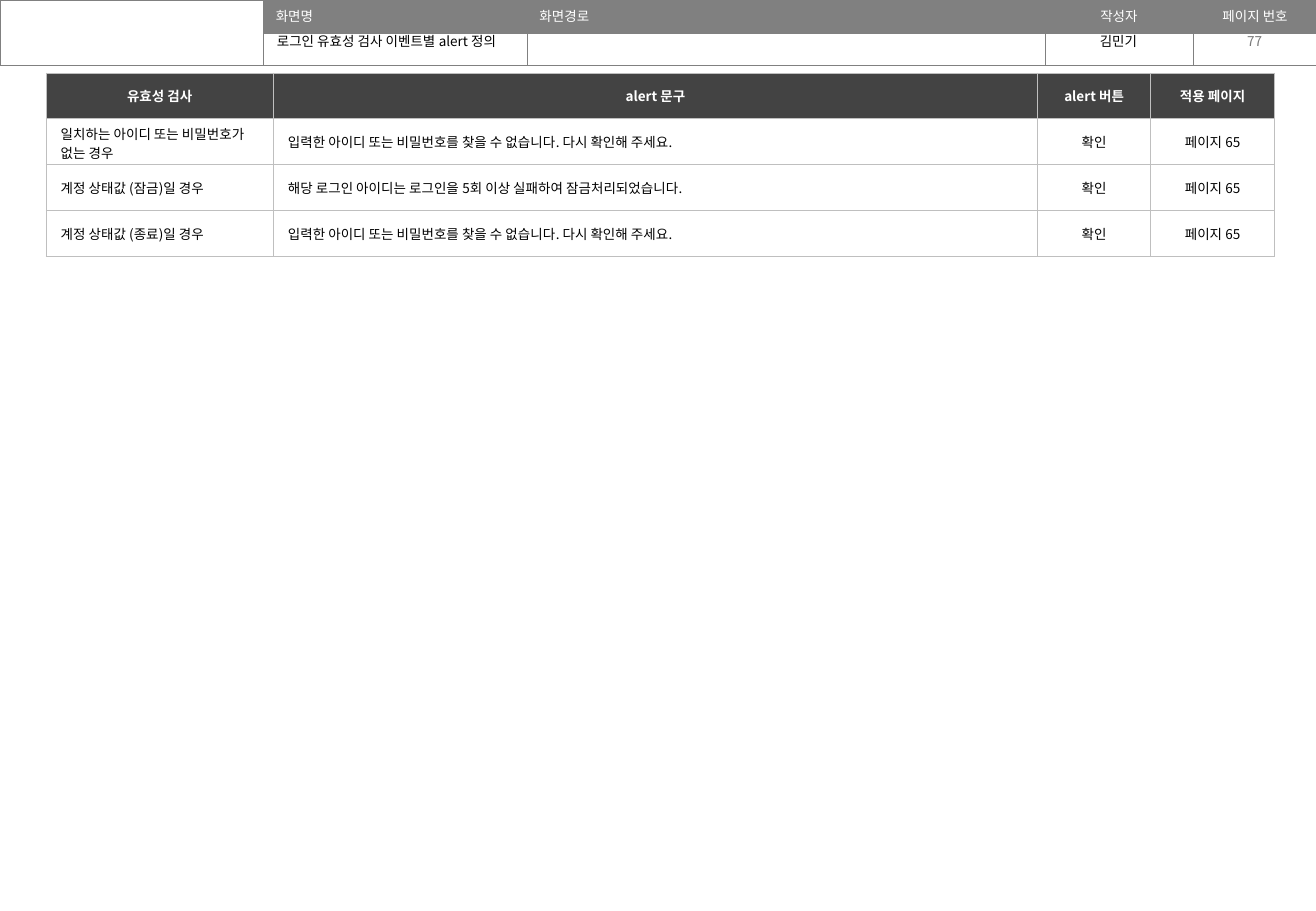
from lxml import etree
from pptx import Presentation
from pptx.dml.color import RGBColor
from pptx.enum.text import MSO_ANCHOR as Anchor, PP_ALIGN as Align
from pptx.oxml.ns import qn
from pptx.util import Inches, Pt

FONT = "Noto Sans CJK KR"
TEXT_SIZE = 8
BLACK, WHITE, GREY, DARK = "000000", "FFFFFF", "808080", "434343"
PAGE_WIDTH, PAGE_HEIGHT = 10.83, 7.5

HEADER_COLUMNS = [2.17, 2.17, 4.26, 1.22, 1.02]
HEADER_LABELS = ["", "화면명", "화면경로", "작성자", "페이지 번호"]
ALERT_COLUMNS = [1.87, 6.29, 0.93, 1.02]
ALERT_LABELS = ["유효성 검사", "alert 문구", "alert 버튼", "적용 페이지"]
NOT_FOUND = "입력한 아이디 또는 비밀번호를 찾을 수 없습니다. 다시 확인해 주세요."
LOCKED = "해당 로그인 아이디는 로그인을 5회 이상 실패하여 잠금처리되었습니다."
ALERTS = [
    ["일치하는 아이디 또는 비밀번호가 없는 경우", NOT_FOUND, "확인", "페이지 65"],
    ["계정 상태값 (잠금)일 경우", LOCKED, "확인", "페이지 65"],
    ["계정 상태값 (종료)일 경우", NOT_FOUND, "확인", "페이지 65"],
]


def color(value):
    return RGBColor.from_string(value)


def write(frame, text, ink, align=Align.LEFT, bold=False):
    frame.text = text
    para = frame.paragraphs[0]
    para.alignment = align
    for span in para.runs:
        span.font.name = FONT
        span.font.size = Pt(TEXT_SIZE)
        span.font.bold = bold
        span.font.color.rgb = color(ink)
        east_asian = etree.SubElement(span.font._element, qn("a:ea"))
        east_asian.set("typeface", FONT)
    if not text:
        # An empty cell would otherwise grow to the default text size.
        end = etree.SubElement(para._p, qn("a:endParaRPr"))
        end.set("sz", str(TEXT_SIZE * 100))


def style_cell(cell, border, fill):
    properties = cell._tc.get_or_add_tcPr()
    for side in ("lnL", "lnR", "lnT", "lnB"):
        line = etree.SubElement(properties, qn(f"a:{side}"), w=str(Pt(0.25)))
        solid = etree.SubElement(line, qn("a:solidFill"))
        etree.SubElement(solid, qn("a:srgbClr"), val=border)
    if fill:
        cell.fill.solid()
        cell.fill.fore_color.rgb = color(fill)
    else:
        cell.fill.background()


def add_grid(page, left, top, columns, row_count, row_height):
    """Add an unbanded table with the given column widths."""
    table = page.shapes.add_table(
        row_count, len(columns), Inches(left), Inches(top),
        Inches(sum(columns)), Inches(row_height * row_count)).table
    table.first_row = table.horz_banding = False
    for column, width in zip(table.columns, columns):
        column.width = Inches(width)
    for row in table.rows:
        row.height = Inches(row_height)
    return table


def add_label(page, left, top, width, text, ink, align, anchor=Anchor.TOP):
    box = page.shapes.add_textbox(
        Inches(left), Inches(top), Inches(width), Inches(0.24))
    box.text_frame.word_wrap = True
    box.text_frame.vertical_anchor = anchor
    write(box.text_frame, text, ink, align)


def add_header(page, left, top):
    table = add_grid(page, left, top, HEADER_COLUMNS, 2, 0.27)
    for row_index, labels in enumerate([HEADER_LABELS, [""] * 5]):
        for index, label in enumerate(labels):
            cell = table.cell(row_index, index)
            style_cell(cell, GREY, GREY if label else None)
            align = Align.CENTER if index > 2 else Align.LEFT
            write(cell.text_frame, label, WHITE, align)
    table.cell(0, 0).merge(table.cell(1, 0))

    starts = [left + sum(HEADER_COLUMNS[:index]) for index in range(5)]
    label_top = top + 0.22
    add_label(page, starts[3] - 0.01, label_top, 1.23, "김민기", BLACK, Align.CENTER)
    add_label(page, starts[4], label_top, 1.01, "77", "797979",
              Align.CENTER, Anchor.MIDDLE)
    add_label(page, starts[1] + 0.01, label_top, 2.15,
              "로그인 유효성 검사 이벤트별 alert 정의", BLACK, Align.LEFT)


def add_alert_table(page, left, top):
    rows = [ALERT_LABELS] + ALERTS
    table = add_grid(page, left, top, ALERT_COLUMNS, len(rows), 0.377)
    for row_index, texts in enumerate(rows):
        heading = row_index == 0
        for index, text in enumerate(texts):
            cell = table.cell(row_index, index)
            style_cell(cell, "BFBFBF", DARK if heading else None)
            cell.vertical_anchor = Anchor.MIDDLE
            cell.margin_left = cell.margin_right = Inches(0.12)
            cell.margin_top = cell.margin_bottom = Inches(0.04)
            align = Align.CENTER if heading or index > 1 else Align.LEFT
            write(cell.text_frame, text, WHITE if heading else BLACK, align, heading)


def main():
    deck = Presentation()
    deck.slide_width = Inches(PAGE_WIDTH)
    deck.slide_height = Inches(PAGE_HEIGHT)
    page = deck.slides.add_slide(deck.slide_layouts[6])
    add_header(page, 0, 0)
    add_alert_table(page, 0.38, 0.6)
    deck.save("out.pptx")


if __name__ == "__main__":
    main()
